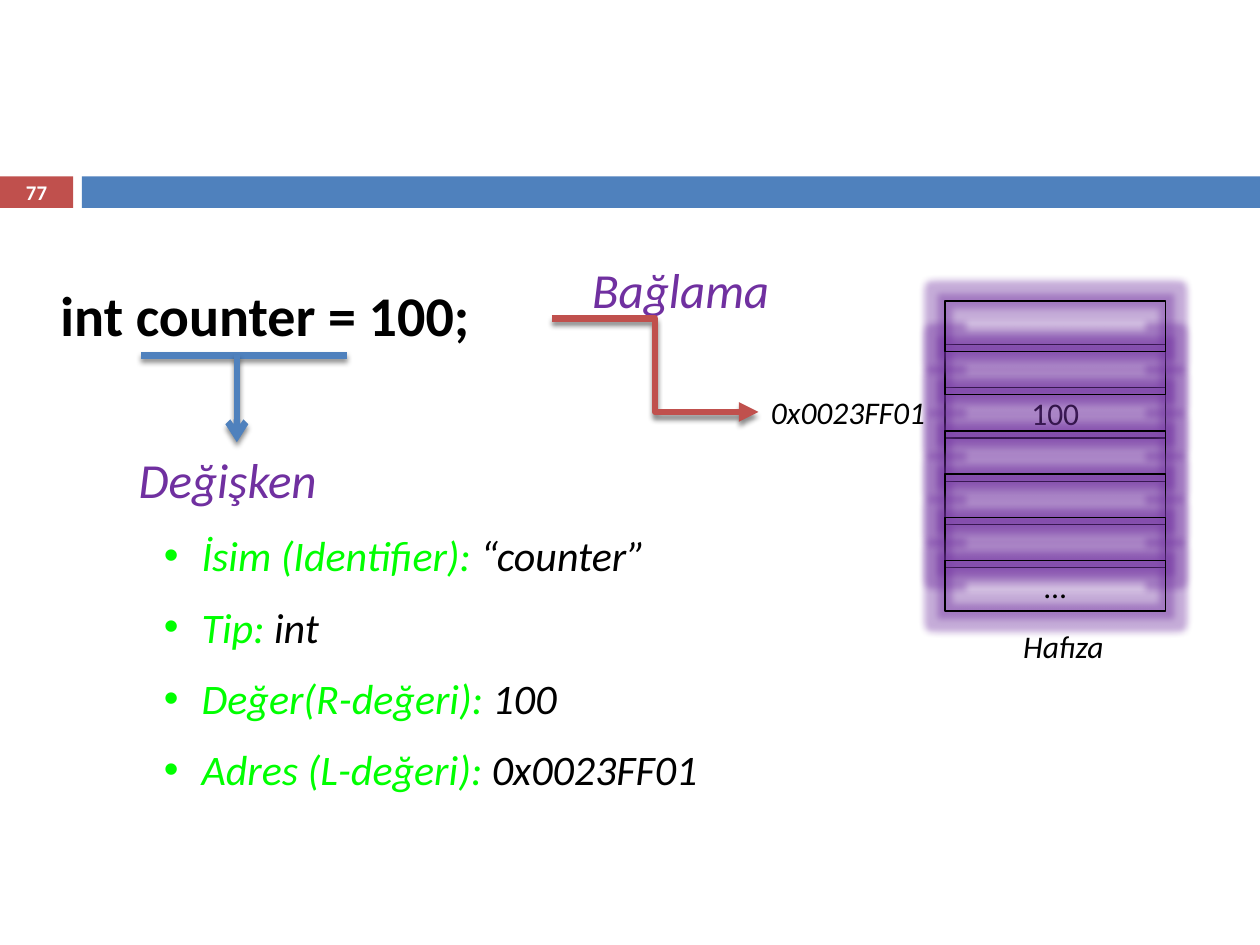
from lxml import etree
from pptx import Presentation
from pptx.dml.color import RGBColor as RGB
from pptx.enum.shapes import MSO_CONNECTOR as LINK, MSO_SHAPE as SHAPE
from pptx.enum.text import MSO_ANCHOR as ANCHOR, MSO_AUTO_SIZE as FIT, PP_ALIGN as ALIGN
from pptx.oxml.ns import qn
from pptx.util import Inches, Pt

COLORS = {"red": "C0504D", "blue": "4F81BD", "purple": "7030A0",
          "green": "00FF00", "black": "000000", "white": "FFFFFF"}

prs = Presentation()
prs.slide_width, prs.slide_height = Inches(10), Inches(7.5)
slide = prs.slides.add_slide(prs.slide_layouts[1])
shapes = slide.shapes


def style(paragraph, size, color="black", bold=False, italic=False, align=ALIGN.LEFT):
    paragraph.alignment = align
    paragraph.space_before = Pt(0)
    for run in paragraph.runs:
        run.font.name, run.font.size = "Calibri", Pt(size)
        run.font.bold, run.font.italic = bold, italic
        run.font.color.rgb = RGB.from_string(COLORS[color])


def add_effect(shape, kind, color, alpha, **settings):
    effects = etree.SubElement(shape._element.spPr, qn("a:effectLst"))
    effect = etree.SubElement(effects, qn(f"a:{kind}"), settings)
    tint = etree.SubElement(effect, qn("a:srgbClr"), val=COLORS[color])
    etree.SubElement(tint, qn("a:alpha"), val=str(alpha * 1000))


# Header band with the page number
for left, width, color in [(0, 0.58, "red"), (0.65, 9.35, "blue")]:
    band = shapes.add_shape(SHAPE.RECTANGLE, Inches(left), Inches(1.4), Inches(width), Inches(0.25))
    band.shadow.inherit = False
    band.fill.solid()
    band.fill.fore_color.rgb = RGB.from_string(COLORS[color])
    band.line.fill.background()
page = shapes.add_textbox(0, Inches(1.39), Inches(0.58), Inches(0.27))
page.text_frame.text = "77"
page.text_frame.word_wrap = True
page.text_frame.vertical_anchor = ANCHOR.MIDDLE
style(page.text_frame.paragraphs[0], 11.9, "white", bold=True, align=ALIGN.CENTER)

# Statement
statement = shapes.title
statement.left, statement.top = Inches(0.38), Inches(2.18)
statement.width, statement.height = Inches(4), Inches(0.71)
statement.text_frame.text = "int counter = 100;"
statement.text_frame.auto_size = FIT.NONE
statement.text_frame.vertical_anchor = ANCHOR.TOP
style(statement.text_frame.paragraphs[0], 32, bold=True)

# Memory cells: the value's cell lies at the back, so its neighbours glow over it
MEMORY_TOP, ROW_PITCH = 2.39, 0.34333
cell_text = {2: "100", 6: "…"}
for row in (2, 3, 4, 1, 0, 5, 6):
    cell = shapes.add_shape(SHAPE.RECTANGLE, Inches(7.5), Inches(MEMORY_TOP + row * ROW_PITCH),
                            Inches(1.75), Inches(0.4))
    cell.fill.background()
    cell.line.color.rgb = RGB.from_string(COLORS["black"])
    cell.line.width = Pt(0.75)
    add_effect(cell, "glow", "purple", 40, rad=str(Pt(8)))
    if row in cell_text:
        cell.text_frame.text = cell_text[row]
        cell.text_frame.vertical_anchor = ANCHOR.TOP
        style(cell.text_frame.paragraphs[0], 18, align=ALIGN.CENTER)

# Labels around the memory and the binding arrow
for text, left, top, width, height, size, color, align, wrap in [
    ("0x0023FF01", 6.02, 3.07, 1.48, 0.4, 18, "black", ALIGN.LEFT, True),
    ("Hafıza", 7.75, 4.93, 1.38, 0.4, 18, "black", ALIGN.CENTER, True),
    ("Bağlama", 4.6, 2.01, 1.62, 0.57, 28, "purple", ALIGN.LEFT, False),
]:
    label = shapes.add_textbox(Inches(left), Inches(top), Inches(width), Inches(height))
    label.text_frame.text = text
    label.text_frame.word_wrap = wrap
    style(label.text_frame.paragraphs[0], size, color, italic=True, align=align)

# Underline, arrow to the variable, and binding arrow to the address
for kind, x1, y1, x2, y2, color, head in [
    (LINK.STRAIGHT, 1.12, 2.82, 2.75, 2.82, "blue", None),
    (LINK.STRAIGHT, 1.88, 2.82, 1.88, 3.51, "blue", "arrow"),
    (LINK.ELBOW, 4.38, 2.53, 6.02, 3.27, "red", "triangle"),
]:
    link = shapes.add_connector(kind, Inches(x1), Inches(y1), Inches(x2), Inches(y2))
    link.line.color.rgb = RGB.from_string(COLORS[color])
    link.line.width = Pt(3.75)
    if head:
        etree.SubElement(link.line._get_or_add_ln(), qn("a:tailEnd"), type=head)
    add_effect(link, "outerShdw", "black", 45, blurRad=str(Pt(3)), dist=str(Pt(2.4)),
               dir="5400000", rotWithShape="0")

# Variable and its attributes
variable = slide.placeholders[1]
variable.left, variable.top = Inches(1), Inches(3.52)
variable.width, variable.height = Inches(5.75), Inches(3)
variable.text_frame.text = "Değişken"
variable.text_frame.auto_size = FIT.NONE
heading = variable.text_frame.paragraphs[0]
heading_format = heading._p.get_or_add_pPr()
heading_format.set("marL", "0")
heading_format.set("indent", "0")
etree.SubElement(heading_format, qn("a:buNone"))
style(heading, 28, "purple", italic=True)

for name, value in [("İsim (Identifier): ", "“counter”"), ("Tip: ", "int"),
                    ("Değer(R-değeri): ", "100"), ("Adres (L-değeri): ", "0x0023FF01")]:
    attribute = variable.text_frame.add_paragraph()
    attribute.level = 1
    bullet_format = attribute._p.get_or_add_pPr()
    bullet_format.set("marL", str(Inches(0.5)))
    bullet_format.set("indent", str(Inches(-0.3)))
    etree.SubElement(bullet_format, qn("a:buChar"), char="•")
    for part in (name, value):
        attribute.add_run().text = part
    style(attribute, 24, italic=True)
    attribute.runs[0].font.color.rgb = RGB.from_string(COLORS["green"])
    attribute.space_before = Pt(12)

prs.save("out.pptx")
